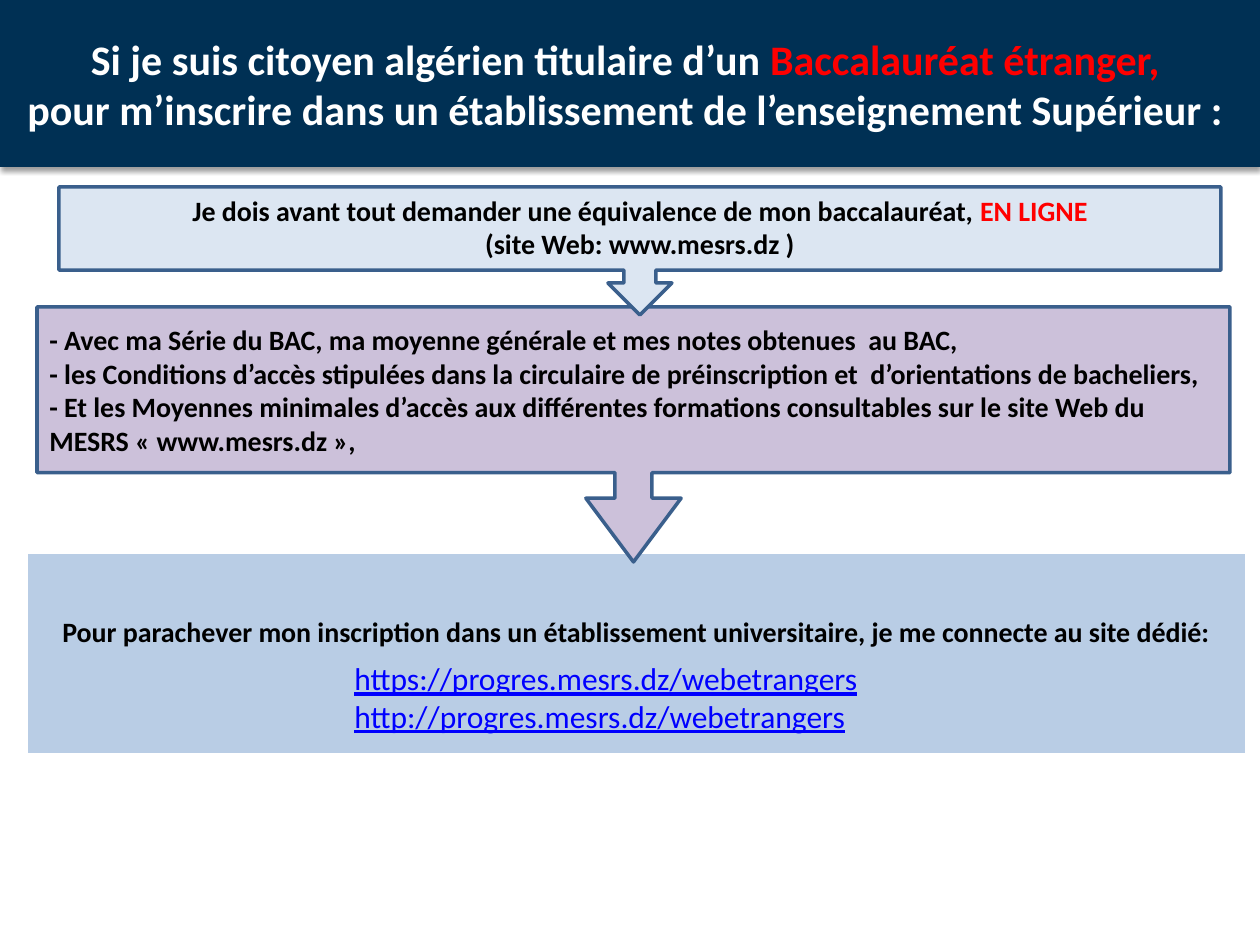
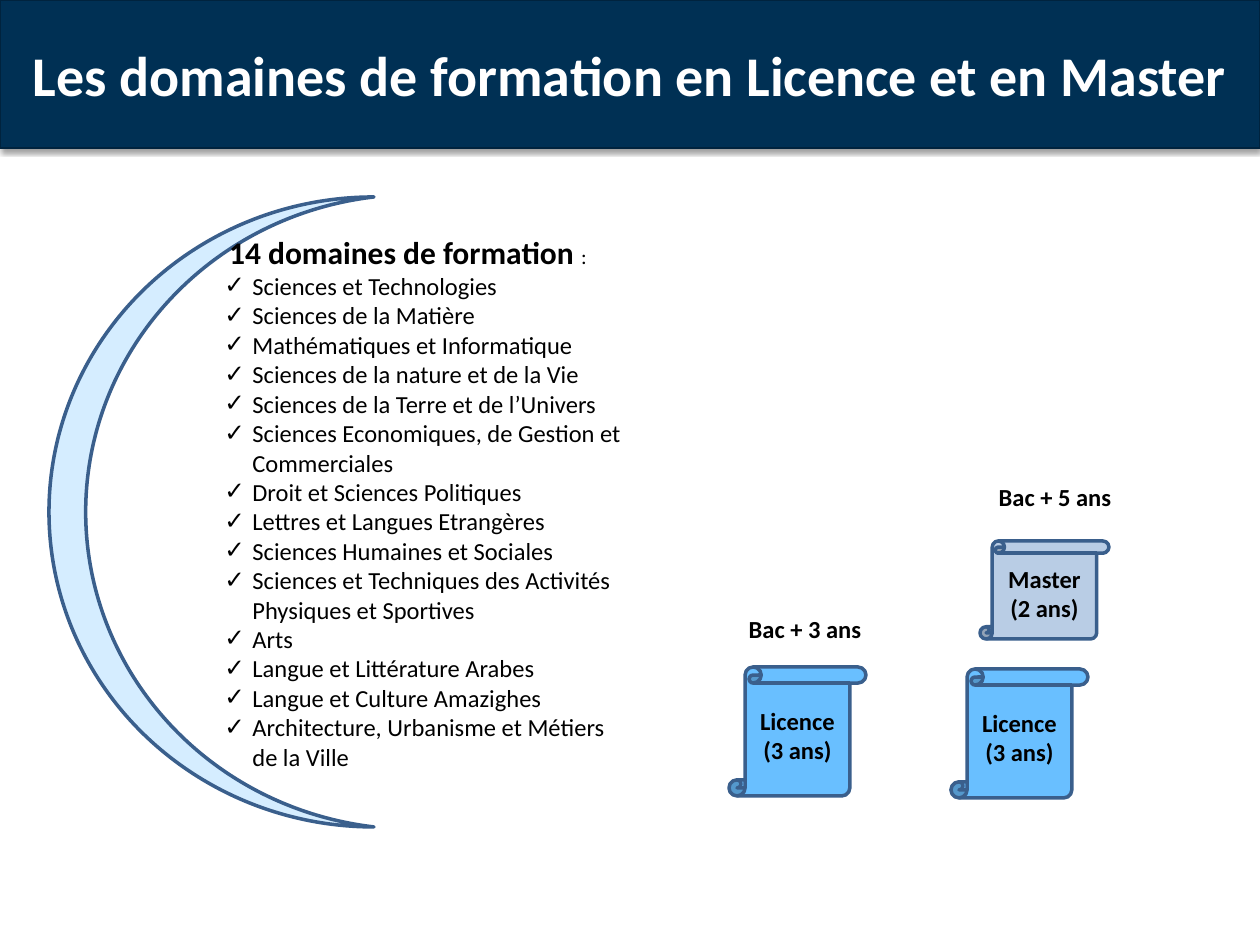
from dataclasses import dataclass
from lxml.etree import SubElement
from pptx import Presentation
from pptx.dml.color import RGBColor
from pptx.enum.shapes import MSO_SHAPE
from pptx.enum.text import MSO_ANCHOR, MSO_AUTO_SIZE, PP_ALIGN
from pptx.oxml.ns import qn
from pptx.util import Emu, Pt


@dataclass(frozen=True)
class Theme:
    font: str = "Calibri"
    band: str = "003054"
    band_edge: str = "00233E"
    outline: str = "3A5F8C"
    white: str = "FFFFFF"
    text: str = "000000"
    accent: str = "FF0000"
    link: str = "0000FF"
    pale_blue: str = "DCE6F2"
    soft_blue: str = "B9CDE5"
    bright_blue: str = "69BFFF"
    moon_blue: str = "D5EDFF"
    lilac: str = "CCC1DA"
    colon_size: int = 12
    small: int = 14
    body: int = 16
    large: int = 18
    long_title: int = 24
    short_title: int = 32
    line_width: int = 2


THEME = Theme()
PX_PER_INCH = 126
SLIDE_SIZE = (1260, 945)

ENROLMENT_TITLE = [[
    ("Si je suis citoyen algérien titulaire d’un ", {}),
    ("Baccalauréat étranger, ", {"color": THEME.accent}),
    ("\n", {}),
    ("pour m’inscrire dans un établissement de l’enseignement Supérieur : ", {}),
]]
EQUIVALENCE = [
    [("Je dois avant tout demander une équivalence de mon baccalauréat, ", {}),
     ("EN LIGNE", {"color": THEME.accent})],
    "(site Web: www.mesrs.dz )",
]
CONDITIONS = [
    "- Avec ma Série du BAC, ma moyenne générale et mes notes obtenues  au BAC,",
    "- les Conditions d’accès stipulées dans la circulaire de préinscription et  d’orientations de bacheliers,",
    "- Et les Moyennes minimales d’accès aux différentes formations consultables sur le site Web du MESRS « www.mesrs.dz »,",
]
CONNECTION = ["Pour parachever mon inscription dans un établissement universitaire, je me connecte au site dédié:"]
ADDRESSES = ["https://progres.mesrs.dz/webetrangers", "http://progres.mesrs.dz/webetrangers"]

DOMAINS_TITLE = ["Les domaines de formation en Licence et en Master"]
DOMAINS_HEADING = [
    ("14 domaines de formation ", {"size": THEME.large, "bold": True}),
    (":", {"size": THEME.colon_size}),
]
DOMAINS = [
    "Sciences et Technologies",
    "Sciences de la Matière",
    "Mathématiques et Informatique",
    "Sciences de la nature et de la Vie",
    "Sciences de la Terre et de l’Univers",
    "Sciences Economiques, de Gestion et Commerciales",
    "Droit et Sciences Politiques",
    "Lettres et Langues Etrangères",
    "Sciences Humaines et Sociales",
    "Sciences et Techniques des Activités Physiques et Sportives",
    "Arts",
    "Langue et Littérature Arabes",
    "Langue et Culture Amazighes",
    "Architecture, Urbanisme et Métiers de la Ville",
]
DIPLOMAS = [
    (["Licence", "(3 ans)"], (729, 667, 137, 129), THEME.bright_blue),
    (["Licence", "(3 ans)"], (951, 669, 137, 129), THEME.bright_blue),
    (["Master", "(2 ans)"], (980, 541, 129, 98), THEME.soft_blue),
]
DURATIONS = [
    ("Bac + 3 ans", (726, 608, 158, 43)),
    ("Bac + 5 ans", (976, 476, 158, 43)),
]


def px(length):
    return Emu(round(length * 914400 / PX_PER_INCH))


def rgb(color):
    return RGBColor.from_string(color)


def style_run(run, size, color=THEME.text, bold=False, underline=False):
    font = run.font
    font.name = THEME.font
    font.size = Pt(size)
    font.color.rgb = rgb(color)
    font.bold = bold
    font.underline = underline


def write(shape, paragraphs, align=PP_ALIGN.CENTER, anchor=MSO_ANCHOR.MIDDLE, **style):
    frame = shape.text_frame
    frame.word_wrap = True
    frame.auto_size = MSO_AUTO_SIZE.NONE
    frame.vertical_anchor = anchor
    for index, content in enumerate(paragraphs):
        paragraph = frame.add_paragraph() if index else frame.paragraphs[0]
        paragraph.alignment = align
        runs = [(content, {})] if isinstance(content, str) else content
        for text, changes in runs:
            if text == "\n":
                paragraph.add_line_break()
                continue
            run = paragraph.add_run()
            run.text = text
            style_run(run, **{**style, **changes})
    return frame


def add_panel(slide, kind, box, fill, line=THEME.outline, adjustments=()):
    shape = slide.shapes.add_shape(kind, *map(px, box))
    shape.shadow.inherit = False
    shape.fill.solid()
    shape.fill.fore_color.rgb = rgb(fill)
    shape.line.color.rgb = rgb(line)
    shape.line.width = Pt(THEME.line_width)
    for index, value in enumerate(adjustments):
        shape.adjustments[index] = value
    return shape


def add_text(slide, box, paragraphs, **style):
    return write(slide.shapes.add_textbox(*map(px, box)), paragraphs, **style)


def add_band_shadow(shape):
    shape.shadow.inherit = False
    effects = shape._element.spPr.find(qn("a:effectLst"))
    shadow = SubElement(effects, qn("a:outerShdw"), blurRad=str(Pt(3.1)),
                        dist=str(Pt(1.6)), dir="5400000", rotWithShape="0")
    color = SubElement(shadow, qn("a:srgbClr"), val=THEME.text)
    SubElement(color, qn("a:alpha"), val="38000")


def add_titled_slide(presentation, paragraphs, height, size, edge=None):
    slide = presentation.slides.add_slide(presentation.slide_layouts[5])
    title = slide.shapes.title
    title.left, title.top = px(0), px(0)
    title.width, title.height = px(SLIDE_SIZE[0]), px(height)
    title.fill.solid()
    title.fill.fore_color.rgb = rgb(THEME.band)
    if edge:
        title.line.color.rgb = rgb(edge)
        title.line.width = Pt(0.75)
    add_band_shadow(title)
    write(title, paragraphs, size=size, color=THEME.white, bold=True)
    return slide


def add_check(paragraph):
    properties = paragraph._p.get_or_add_pPr()
    properties.set("marL", str(px(63)))
    properties.set("indent", str(-px(28)))
    SubElement(properties, qn("a:buFont"), typeface=THEME.font)
    SubElement(properties, qn("a:buChar"), char="✓")


def build_enrolment(presentation):
    slide = add_titled_slide(presentation, ENROLMENT_TITLE, 167, THEME.long_title)
    emphasis = {"size": THEME.body, "bold": True}

    connection = add_panel(slide, MSO_SHAPE.RECTANGLE, (26, 552, 1221, 203),
                           THEME.soft_blue, THEME.white)
    frame = write(connection, CONNECTION, **emphasis)
    frame.margin_left = frame.margin_right = frame.margin_top = px(15)
    frame.margin_bottom = px(60)

    conditions = add_panel(slide, MSO_SHAPE.DOWN_ARROW_CALLOUT, (37, 307, 1193, 255),
                           THEME.lilac, adjustments=(0.145, 0.187, 0.25, 0.65))
    write(conditions, CONDITIONS, align=PP_ALIGN.LEFT, **emphasis)

    equivalence = add_panel(slide, MSO_SHAPE.DOWN_ARROW_CALLOUT, (59, 187, 1162, 128),
                            THEME.pale_blue)
    write(equivalence, EQUIVALENCE, anchor=MSO_ANCHOR.TOP, **emphasis)

    add_text(slide, (342, 653, 630, 89), ADDRESSES, align=PP_ALIGN.LEFT,
             anchor=MSO_ANCHOR.TOP, size=THEME.large, color=THEME.link, underline=True)


def build_domains(presentation):
    slide = add_titled_slide(presentation, DOMAINS_TITLE, 148, THEME.short_title,
                             THEME.band_edge)
    emphasis = {"size": THEME.small, "bold": True}

    for lines, box, fill in DIPLOMAS:
        write(add_panel(slide, MSO_SHAPE.VERTICAL_SCROLL, box, fill), lines, **emphasis)
    for duration, box in DURATIONS:
        add_text(slide, box, [duration], anchor=MSO_ANCHOR.TOP, **emphasis)

    add_panel(slide, MSO_SHAPE.MOON, (49, 197, 325, 630), THEME.moon_blue,
              adjustments=(0.113,))
    frame = add_text(slide, (177, 227, 462, 601), [DOMAINS_HEADING, *DOMAINS],
                     align=PP_ALIGN.LEFT, anchor=MSO_ANCHOR.TOP, size=THEME.small)
    heading, *domains = frame.paragraphs
    heading.alignment = PP_ALIGN.CENTER
    for paragraph in domains:
        add_check(paragraph)


def main():
    presentation = Presentation()
    presentation.slide_width, presentation.slide_height = map(px, SLIDE_SIZE)
    build_enrolment(presentation)
    build_domains(presentation)
    presentation.save("out.pptx")


if __name__ == "__main__":
    main()
